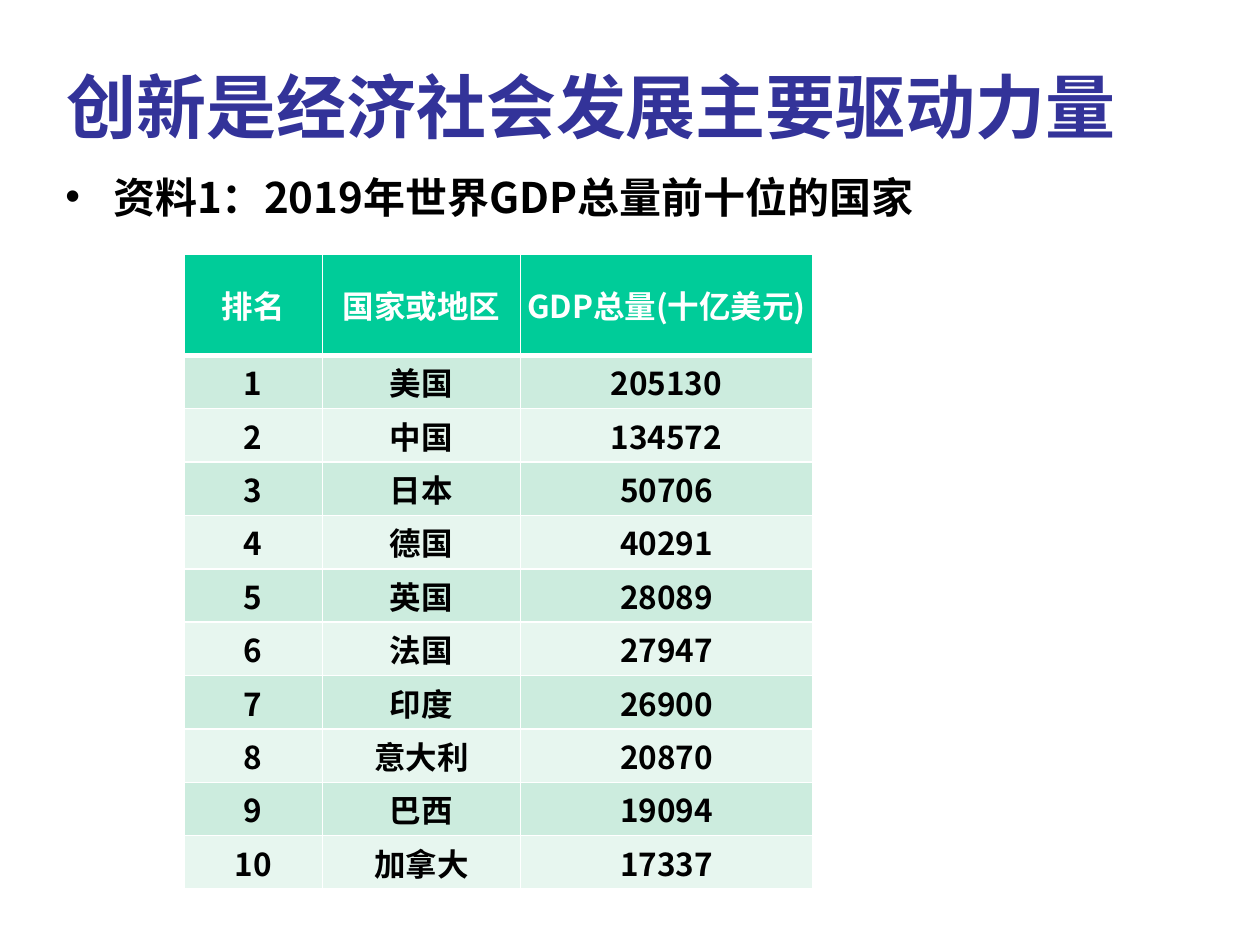
from pptx import Presentation
from pptx.dml.color import RGBColor
from pptx.enum.text import MSO_ANCHOR, PP_ALIGN
from pptx.oxml.ns import qn
from pptx.util import Inches, Pt
from lxml import etree

MIDDLE, TOP = MSO_ANCHOR.MIDDLE, MSO_ANCHOR.TOP
CENTER = PP_ALIGN.CENTER

# Content
TITLE = "创新是经济社会发展主要驱动力量"
POINT = "资料1：2019年世界GDP总量前十位的国家"
HEADS = ("排名", "国家或地区", "GDP总量(十亿美元)")
RANKS = [
    ("美国", 205130),
    ("中国", 134572),
    ("日本", 50706),
    ("德国", 40291),
    ("英国", 28089),
    ("法国", 27947),
    ("印度", 26900),
    ("意大利", 20870),
    ("巴西", 19094),
    ("加拿大", 17337),
]

# Style
HEAD_FONT, BODY_FONT = "Noto Sans CJK JP", "Noto Sans CJK KR"
NAVY = RGBColor(0x33, 0x33, 0x99)
BLACK = RGBColor(0, 0, 0)
WHITE = RGBColor(0xFF, 0xFF, 0xFF)
GREEN = RGBColor(0x00, 0xCC, 0x99)
BANDS = (RGBColor(0xCC, 0xEC, 0xDE), RGBColor(0xE7, 0xF6, 0xEF))
COLS = (1.1, 1.57, 2.32)
TALL, HEAD_ROW = 5.04, 0.8
ROW = (TALL - HEAD_ROW) / len(RANKS)


def style(para, face, size, color):
    for run in para.runs:
        font = run.font
        font.name, font.size, font.bold = face, Pt(size), True
        font.color.rgb = color
        east = etree.SubElement(run._r.get_or_add_rPr(), qn("a:ea"))
        east.set("typeface", face)


def add_text(slide, text, box, anchor, face, size, color):
    frame = slide.shapes.add_textbox(*map(Inches, box)).text_frame
    frame.word_wrap = True
    frame.vertical_anchor = anchor
    frame.text = text
    para = frame.paragraphs[0]
    style(para, face, size, color)
    return para


def add_bullet(para, indent):
    props = para._p.get_or_add_pPr()
    props.set("marL", str(Inches(indent)))
    props.set("indent", str(-Inches(indent)))
    etree.SubElement(props, qn("a:buFont")).set("typeface", "Arial")
    etree.SubElement(props, qn("a:buChar")).set("char", "•")


def add_edges(cell, widths):
    props = cell._tc.get_or_add_tcPr()
    for i, (side, width) in enumerate(zip("LRTB", widths)):
        line = etree.Element(qn(f"a:ln{side}"), w=str(Pt(width)))
        fill = etree.SubElement(line, qn("a:solidFill"))
        etree.SubElement(fill, qn("a:srgbClr")).set("val", str(WHITE))
        props.insert(i, line)


def fill_cell(cell, text, row):
    head = row == 0
    cell.text = text
    para = cell.text_frame.paragraphs[0]
    para.alignment = CENTER
    style(para, BODY_FONT, 18, WHITE if head else BLACK)
    cell.vertical_anchor = MIDDLE
    cell.margin_left = cell.margin_right = Inches(0.05 if head else 0.06)
    cell.margin_top = cell.margin_bottom = Inches(0.04 if head else 0.03)
    cell.fill.solid()
    cell.fill.fore_color.rgb = GREEN if head else BANDS[(row - 1) % 2]
    # The rule under the header is thicker
    add_edges(cell, (1, 1, 3 if row == 1 else 1, 3 if head else 1))


def main():
    deck = Presentation()
    deck.slide_width, deck.slide_height = Inches(10), Inches(7.5)
    slide = deck.slides.add_slide(deck.slide_layouts[6])

    # Title and bullet
    add_text(slide, TITLE, (0.43, 0.21, 9.08, 1.25), MIDDLE,
             HEAD_FONT, 40, NAVY)
    point = add_text(slide, POINT, (0.42, 1.31, 9.08, 5.67), TOP,
                     BODY_FONT, 24, BLACK)
    add_bullet(point, 0.38)

    # Ranking table
    rows = [HEADS] + [(str(rank), land, str(total))
                      for rank, (land, total) in enumerate(RANKS, 1)]
    table = slide.shapes.add_table(
        len(rows), len(COLS), Inches(1.46), Inches(2.02),
        Inches(sum(COLS)), Inches(TALL)).table
    for col, width in zip(table.columns, COLS):
        col.width = Inches(width)
    for r, texts in enumerate(rows):
        table.rows[r].height = Inches(ROW if r else HEAD_ROW)
        for c, text in enumerate(texts):
            fill_cell(table.cell(r, c), text, r)

    deck.save("out.pptx")


if __name__ == "__main__":
    main()
